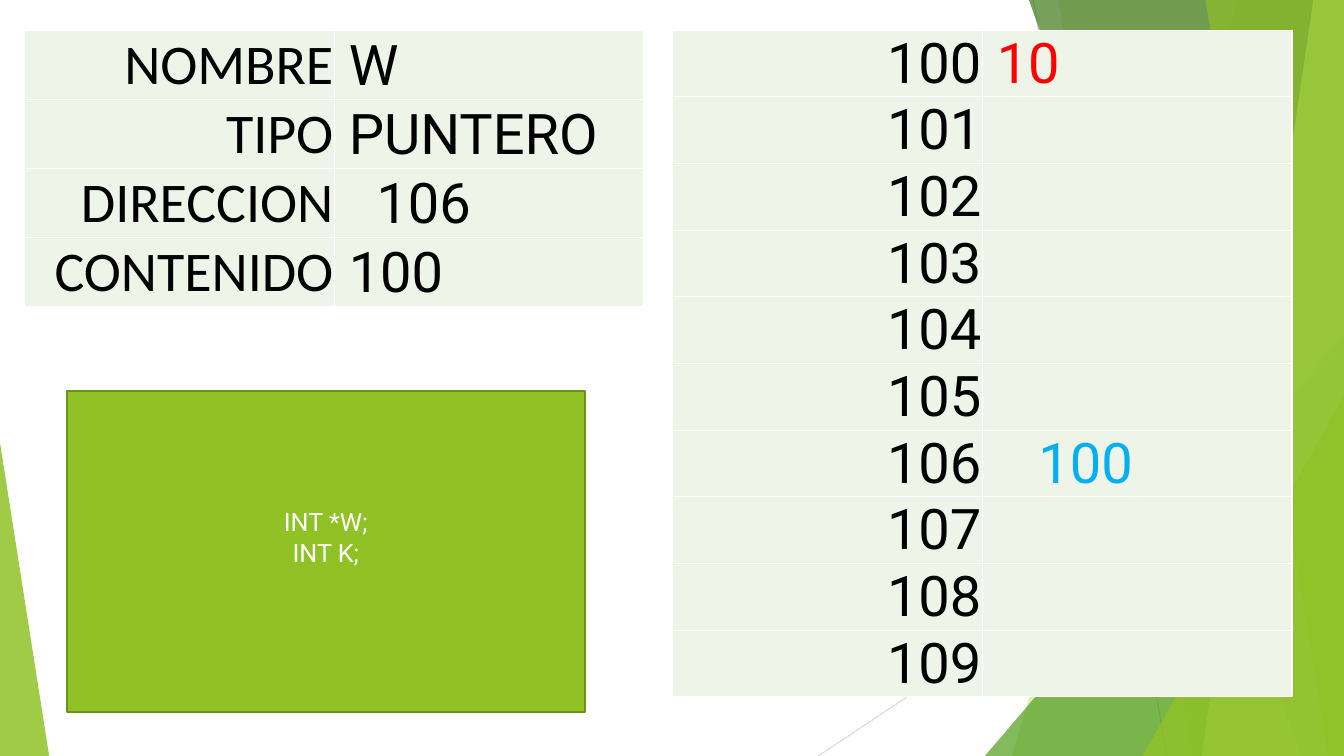
from dataclasses import dataclass

from lxml import etree
from pptx import Presentation
from pptx.dml.color import RGBColor
from pptx.enum.shapes import MSO_CONNECTOR, MSO_SHAPE
from pptx.enum.text import MSO_ANCHOR, PP_ALIGN
from pptx.oxml.ns import qn
from pptx.util import Cm, Pt

STRAIGHT = MSO_CONNECTOR.STRAIGHT
TRIANGLE, RECTANGLE = MSO_SHAPE.ISOSCELES_TRIANGLE, MSO_SHAPE.RECTANGLE
BOTTOM, MIDDLE = MSO_ANCHOR.BOTTOM, MSO_ANCHOR.MIDDLE
LEFT, RIGHT, CENTER = PP_ALIGN.LEFT, PP_ALIGN.RIGHT, PP_ALIGN.CENTER

WIDTH, HEIGHT = 33.87, 19.05
TABLE_TOP, COLUMN_WIDTH = 0.76, 7.81
CELL_INSET, INDENT_STEP = 0.02, 0.35


@dataclass(frozen=True)
class Theme:
    green: str = "90C226"
    mid_green: str = "54A021"
    dark_green: str = "3F7819"
    pale_green: str = "C0E474"
    outline: str = "6B901C"
    cell: str = "EEF4E8"
    white: str = "FFFFFF"
    black: str = "000000"
    red: str = "FF0000"
    blue: str = "00B0F0"
    gray: str = "BFBFBF"
    light_gray: str = "D9D9D9"
    font: str = "Roboto"
    label_font: str = "Calibri"
    table_size: int = 40
    code_size: int = 18


THEME = Theme()


@dataclass(frozen=True)
class Ray:
    x1: float
    y1: float
    x2: float
    y2: float
    color: str


@dataclass(frozen=True)
class Slice:
    top_x: float
    bottom_x: float
    color: str
    opacity: int


@dataclass(frozen=True)
class Corner:
    left: float
    width: float
    height: float
    apex: float
    color: str
    opacity: int


@dataclass(frozen=True)
class Entry:
    label: str
    value: str = ""
    indent: int = 1
    color: str = THEME.black


@dataclass(frozen=True)
class Grid:
    left: float
    row_height: float
    label_font: str
    entries: list[Entry]


RAYS = [
    Ray(26.04, 0, 29.41, HEIGHT, THEME.gray),
    Ray(WIDTH, 10.24, 20.62, HEIGHT, THEME.light_gray),
]
FACETS = [
    Slice(31.19, 25.5, THEME.green, 30),
    Slice(26.67, 30.05, THEME.green, 20),
    Corner(24.82, 9.05, 10.59, 1, THEME.mid_green, 72),
    Slice(25.93, 32.79, THEME.dark_green, 70),
    Slice(33.1, 30.28, THEME.pale_green, 70),
    Slice(30.38, 33.48, THEME.green, 65),
    Corner(28.8, 5.07, 9.07, 1, THEME.green, 80),
    Corner(0, 1.24, 7.9, 0, THEME.green, 85),
]
STORED = {
    100: Entry("100", "10", 1, THEME.red),
    106: Entry("106", "100", 4, THEME.blue),
}
MEMORY = Grid(16.94, 1.68, THEME.font,
              [STORED.get(n, Entry(str(n))) for n in range(100, 110)])
VARIABLE = Grid(0.61, 1.74, THEME.label_font, [
    Entry("NOMBRE", "W"),
    Entry("TIPO", "PUNTERO"),
    Entry("DIRECCION", "106", 3),
    Entry("CONTENIDO", "100"),
])


def rgb(color: str) -> RGBColor:
    return RGBColor.from_string(color)


def style_text(p, font: str, size: int, color: str, align) -> None:
    p.alignment = align
    for r in p.runs:
        r.font.name = font
        r.font.size = Pt(size)
        r.font.color.rgb = rgb(color)


def draw_ray(slide, ray: Ray) -> None:
    line = slide.shapes.add_connector(
        STRAIGHT, Cm(ray.x1), Cm(ray.y1), Cm(ray.x2), Cm(ray.y2))
    line.line.color.rgb = rgb(ray.color)
    line.line.width = Pt(0.75)
    etree.SubElement(line._element.spPr, qn("a:effectLst"))


def draw_facet(slide, facet: Slice | Corner) -> None:
    if isinstance(facet, Slice):
        builder = slide.shapes.build_freeform(Cm(facet.top_x), 0)
        builder.add_line_segments([
            (Cm(WIDTH), 0), (Cm(WIDTH), Cm(HEIGHT)), (Cm(facet.bottom_x), Cm(HEIGHT))])
        sp = builder.convert_to_shape()
    else:
        sp = slide.shapes.add_shape(
            TRIANGLE, Cm(facet.left), Cm(HEIGHT - facet.height),
            Cm(facet.width), Cm(facet.height))
        sp.adjustments[0] = facet.apex
    sp.shadow.inherit = False
    sp.line.fill.background()
    sp.fill.solid()
    sp.fill.fore_color.rgb = rgb(facet.color)
    color = sp._element.spPr.find(".//" + qn("a:srgbClr"))
    etree.SubElement(color, qn("a:alpha"), val=str(facet.opacity * 1000))


def draw_borders(cell) -> None:
    props = cell._tc.get_or_add_tcPr()
    for i, side in enumerate(("lnL", "lnR", "lnT", "lnB")):
        line = etree.Element(qn(f"a:{side}"), w=str(Pt(1)))
        fill = etree.SubElement(line, qn("a:solidFill"))
        etree.SubElement(fill, qn("a:srgbClr"), val=THEME.white)
        props.insert(i, line)


def fill_cell(cell, text: str, font: str, color: str, align, indent: int) -> None:
    cell.fill.solid()
    cell.fill.fore_color.rgb = rgb(THEME.cell)
    draw_borders(cell)
    cell.vertical_anchor = BOTTOM
    cell.margin_left = Cm(CELL_INSET + indent * INDENT_STEP)
    cell.margin_right = cell.margin_top = Cm(CELL_INSET)
    cell.margin_bottom = 0
    if text:
        cell.text_frame.text = text
        style_text(cell.text_frame.paragraphs[0], font, THEME.table_size, color, align)


def draw_grid(slide, grid: Grid) -> None:
    count = len(grid.entries)
    table = slide.shapes.add_table(
        count, 2, Cm(grid.left), Cm(TABLE_TOP),
        Cm(2 * COLUMN_WIDTH), Cm(count * grid.row_height)).table
    table.first_row = table.horz_banding = False
    for column in table.columns:
        column.width = Cm(COLUMN_WIDTH)
    for i, entry in enumerate(grid.entries):
        table.rows[i].height = Cm(grid.row_height)
        fill_cell(table.cell(i, 0), entry.label, grid.label_font, THEME.black, RIGHT, 0)
        fill_cell(table.cell(i, 1), entry.value, THEME.font, entry.color, LEFT, entry.indent)


def draw_code(slide) -> None:
    sp = slide.shapes.add_shape(RECTANGLE, Cm(1.68), Cm(9.86), Cm(13.06), Cm(8.08))
    sp.shadow.inherit = False
    sp.fill.solid()
    sp.fill.fore_color.rgb = rgb(THEME.green)
    sp.line.color.rgb = rgb(THEME.outline)
    sp.line.width = Pt(1.5)
    tf = sp.text_frame
    tf.vertical_anchor = MIDDLE
    tf.margin_bottom = Cm(0.87)
    tf.text = "INT *W;\nINT K;"
    for p in tf.paragraphs:
        style_text(p, THEME.font, THEME.code_size, THEME.white, CENTER)


def main() -> None:
    prs = Presentation()
    prs.slide_width, prs.slide_height = Cm(WIDTH), Cm(HEIGHT)
    slide = prs.slides.add_slide(prs.slide_layouts[6])
    for ray in RAYS:
        draw_ray(slide, ray)
    for facet in FACETS:
        draw_facet(slide, facet)
    for grid in (MEMORY, VARIABLE):
        draw_grid(slide, grid)
    draw_code(slide)
    prs.save("out.pptx")


if __name__ == "__main__":
    main()
